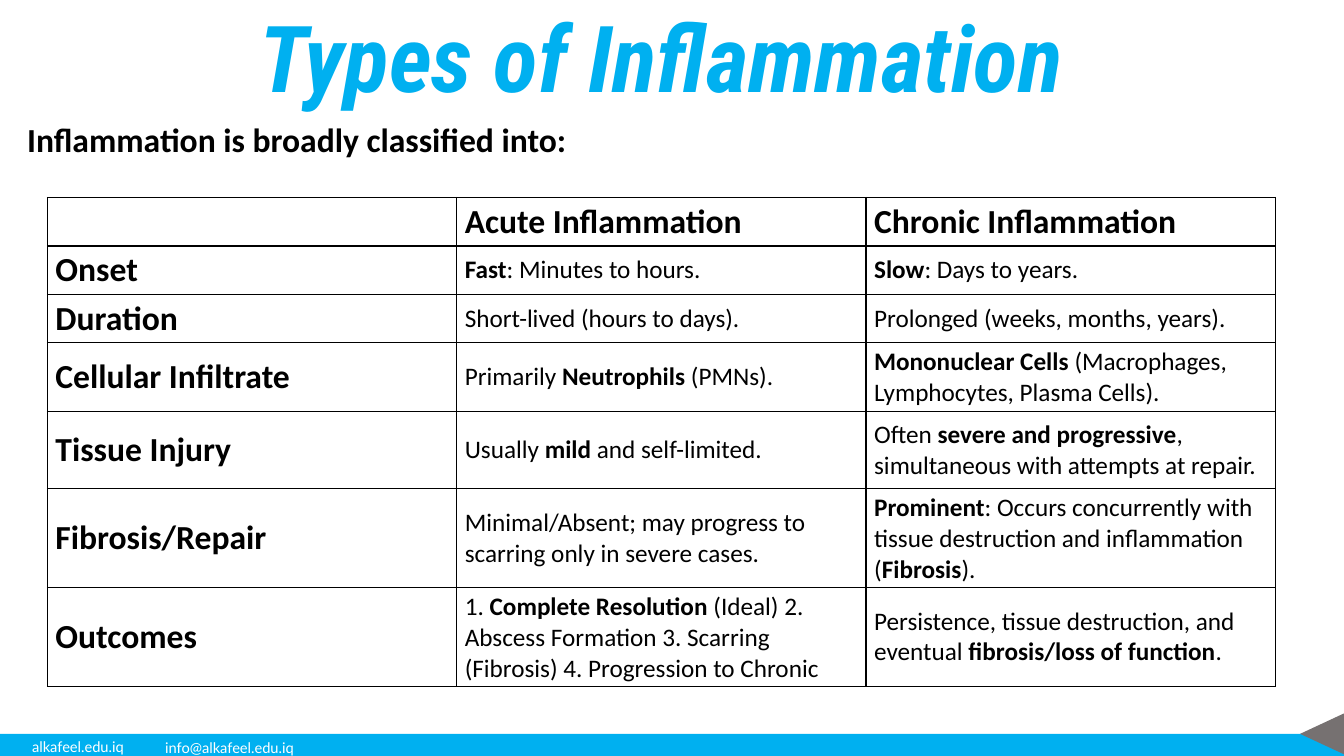
from lxml.etree import SubElement
from pptx import Presentation
from pptx.dml.color import RGBColor
from pptx.enum.shapes import MSO_SHAPE as Preset
from pptx.enum.text import MSO_ANCHOR as Anchor, PP_ALIGN as Align
from pptx.oxml.ns import qn
from pptx.util import Inches, Pt

COLORS = {"blue": "00B0F0", "grey": "767171", "black": "000000", "white": "FFFFFF"}

COLUMN_WIDTH = 4.06
ROW_HEIGHTS = [0.48, 0.48, 0.48, 0.68, 0.77, 0.97, 0.97]
COMPARISON = [
    ("", "**Acute Inflammation**", "**Chronic Inflammation**"),
    ("**Onset**", "**Fast**: Minutes to hours.", "**Slow**: Days to years."),
    ("**Duration**", "Short-lived (hours to days).", "Prolonged (weeks, months, years)."),
    ("**Cellular Infiltrate**", "Primarily **Neutrophils** (PMNs).",
     "**Mononuclear Cells** (Macrophages, Lymphocytes, Plasma Cells)."),
    ("**Tissue Injury**", "Usually **mild** and self-limited.",
     "Often **severe and progressive**, simultaneous with attempts at repair."),
    ("**Fibrosis/Repair**", "Minimal/Absent; may progress to scarring only in severe cases.",
     "**Prominent**: Occurs concurrently with tissue destruction and inflammation (**Fibrosis**)."),
    ("**Outcomes**",
     "1. **Complete Resolution** (Ideal) 2. Abscess Formation 3. Scarring (Fibrosis) "
     "4. Progression to Chronic",
     "Persistence, tissue destruction, and eventual **fibrosis/loss of function**."),
]


class SlideBuilder:
    def __init__(self, page, colors):
        self.page = page
        self.colors = colors

    def color(self, name):
        return RGBColor.from_string(self.colors[name])

    def style(self, font, size, name, color, bold=False, italic=False):
        font.size, font.name = Pt(size), name
        font.bold, font.italic = bold, italic
        font.color.rgb = self.color(color)

    def shape(self, preset, left, top, width, height, color, rotation=0):
        shape = self.page.shapes.add_shape(
            preset, Inches(left), Inches(top), Inches(width), Inches(height))
        shape.shadow.inherit = False
        shape.fill.solid()
        shape.fill.fore_color.rgb = self.color(color)
        shape.line.fill.background()
        shape.rotation = rotation

    def text(self, text, left, top, width, height, align=Align.LEFT, **style):
        box = self.page.shapes.add_textbox(
            Inches(left), Inches(top), Inches(width), Inches(height))
        box.text_frame.word_wrap = True
        box.text_frame.text = text
        para = box.text_frame.paragraphs[0]
        para.alignment = align
        self.style(para.runs[0].font, **style)

    def borders(self, cell):
        properties = cell._tc.get_or_add_tcPr()
        for side in ("a:lnL", "a:lnR", "a:lnT", "a:lnB"):
            line = SubElement(properties, qn(side), w=str(Pt(1)))
            fill = SubElement(line, qn("a:solidFill"))
            SubElement(fill, qn("a:srgbClr"), val=self.colors["black"])

    def cell(self, cell, text, size):
        self.borders(cell)
        cell.fill.background()
        cell.vertical_anchor = Anchor.MIDDLE
        cell.margin_left = cell.margin_right = Inches(0.08)
        cell.margin_top = cell.margin_bottom = Inches(0.04)
        para = cell.text_frame.paragraphs[0]
        for index, part in enumerate(text.split("**")):
            if part:
                span = para.add_run()
                span.text = part
                self.style(span.font, size, "Calibri", "black", bold=index % 2 == 1)

    def table(self, rows, left, top, column_width, row_heights):
        count = len(rows[0])
        table = self.page.shapes.add_table(
            len(rows), count, Inches(left), Inches(top),
            Inches(column_width * count), Inches(sum(row_heights))).table
        table.first_row = table.horz_banding = False
        for column in table.columns:
            column.width = Inches(column_width)
        for row_index, (texts, height) in enumerate(zip(rows, row_heights)):
            table.rows[row_index].height = Inches(height)
            for column_index, text in enumerate(texts):
                heading = row_index == 0 or column_index == 0
                self.cell(table.cell(row_index, column_index), text, 24 if heading else 18)


def main():
    deck = Presentation()
    deck.slide_width, deck.slide_height = Inches(13.33), Inches(7.5)
    builder = SlideBuilder(deck.slides.add_slide(deck.slide_layouts[6]), COLORS)

    builder.shape(Preset.RECTANGLE, 0, 7.28, 13.33, 0.23, "blue")
    footer = dict(size=10.5, name="Lato", color="white")
    builder.text("alkafeel.edu.iq", 0.22, 7.27, 1.12, 0.28, **footer)
    builder.text("info@alkafeel.edu.iq", 1.54, 7.28, 1.49, 0.28, **footer)
    builder.shape(Preset.ISOSCELES_TRIANGLE, 12.91, 7.06, 0.41, 0.44, "grey", rotation=270)

    builder.text("Types of Inflammation", 0.93, -0.05, 11.26, 1.68, Align.CENTER,
                 size=66, name="Roboto Condensed", color="blue", bold=True, italic=True)
    builder.text("Inflammation is broadly classified into:", 0.17, 1.13, 13.25, 0.5,
                 size=24, name="Calibri", color="black", bold=True)
    builder.table(COMPARISON, 0.47, 1.96, COLUMN_WIDTH, ROW_HEIGHTS)

    deck.save("out.pptx")


if __name__ == "__main__":
    main()
